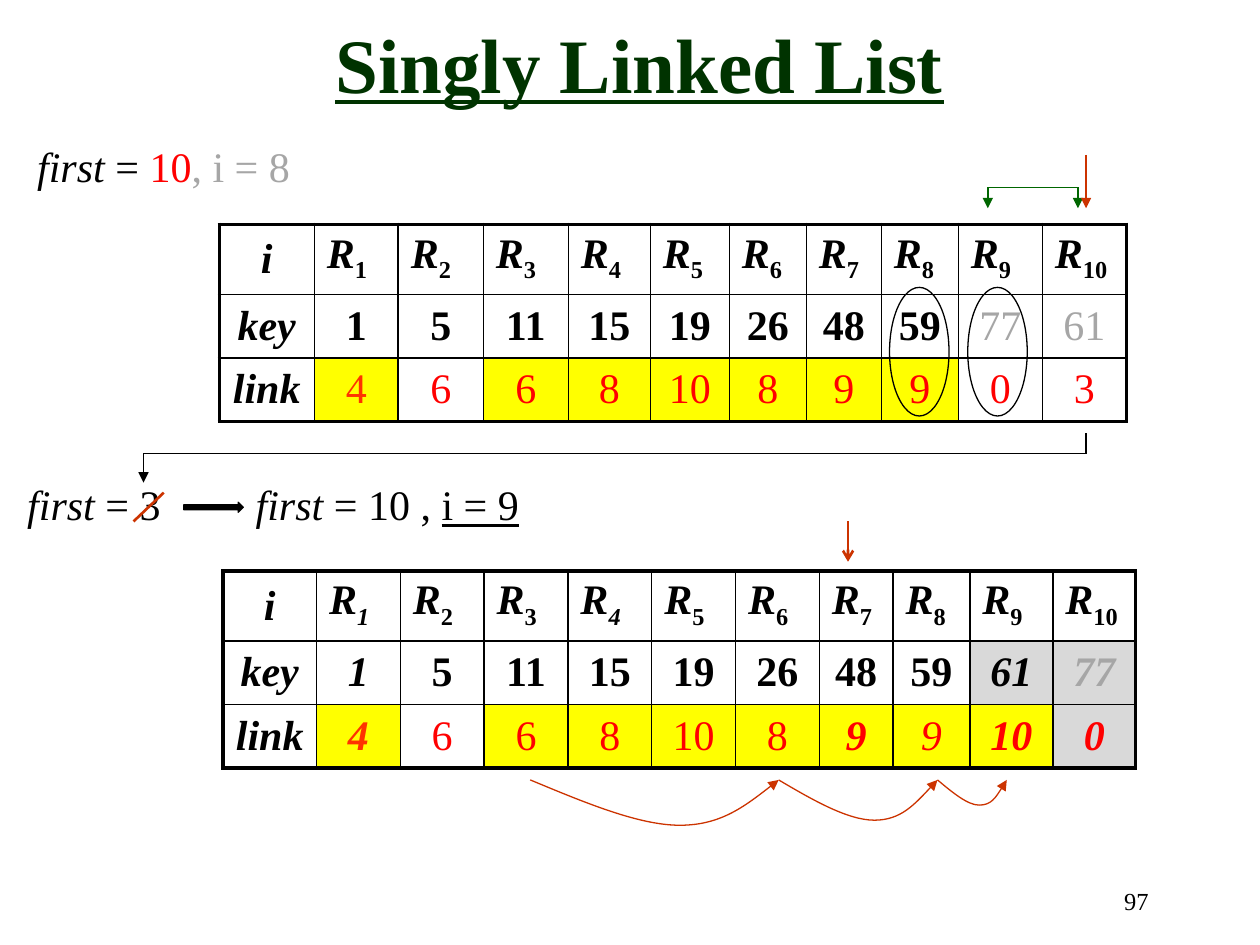
import pptx
import pptx.dml.color
import pptx.enum.shapes
import pptx.enum.text
import pptx.oxml.ns
import pptx.util
from lxml import etree

Pt = pptx.util.Pt
ALIGN = pptx.enum.text.PP_ALIGN
ANCHOR = pptx.enum.text.MSO_ANCHOR
SHAPE = pptx.enum.shapes.MSO_SHAPE
qn = pptx.oxml.ns.qn

BLACK, RED, RUST, GREEN = "000000", "FF0000", "CC3300", "006600"
YELLOW, SILVER, GREY = "FFFF00", "D9D9D9", "A6A6A6"
BODY = {"name": "Times New Roman", "size": Pt(24), "bold": False, "italic": False}
ITALIC = {"italic": True}
STRONG = {"bold": True}
STRONG_ITALIC = {"bold": True, "italic": True}

UPPER_LIST = {
    "left": 125.3, "top": 128.2,
    "widths": [54.3, 48, 48.6, 48.6, 46.9, 45.1, 44, 42.9, 44, 48, 48],
    "keys": [1, 5, 11, 15, 19, 26, 48, 59, 77, 61],
    "links": [4, 6, 6, 8, 10, 8, 9, 9, 0, 3],
    "italic_subscripts": [],
    "fills": {(2, column): YELLOW for column in (1, 3, 4, 5, 6, 7, 8)},
    "formats": {
        (1, 9): {"color": GREY, "bold": False},
        (1, 10): {"color": GREY, "bold": False},
        (2, 1): {"color": "FF3300"},
    },
}
LOWER_LIST = {
    "left": 127.4, "top": 326.2,
    "widths": [53.5] + [47.9] * 6 + [42.2, 43.9, 47.4, 47.4],
    "keys": [1, 5, 11, 15, 19, 26, 48, 59, 61, 77],
    "links": [4, 6, 6, 8, 10, 8, 9, 9, 10, 0],
    "italic_subscripts": [1, 4],
    "fills": {
        **{(2, column): YELLOW for column in (1, 3, 4, 5, 6, 7, 8, 9)},
        **{cell: SILVER for cell in ((1, 9), (1, 10), (2, 10))},
    },
    "formats": {
        (1, 1): ITALIC,
        (1, 9): ITALIC,
        (1, 10): {"color": GREY, "italic": True},
        (2, 1): {"color": "FF3300", **STRONG_ITALIC},
        (2, 7): STRONG_ITALIC,
        (2, 8): ITALIC,
        (2, 9): STRONG_ITALIC,
        (2, 10): STRONG_ITALIC,
    },
}


def rgb(code):
    """Turn a hex string into a colour."""
    return pptx.dml.color.RGBColor.from_string(code)


def write_spans(para, spans):
    """Add formatted spans of text to a paragraph."""
    for text, changes in spans:
        values = {**BODY, "color": BLACK, "baseline": None, **changes}
        span = para.add_run()
        span.text = text
        span.font.color.rgb = rgb(values.pop("color"))
        baseline = values.pop("baseline")
        for name, value in values.items():
            setattr(span.font, name, value)
        if baseline:
            span._r.get_or_add_rPr().set("baseline", baseline)


def add_text(slide, left, top, width, height, spans, align=ALIGN.LEFT,
             anchor=ANCHOR.TOP, wrap=True):
    """Add a text box with one paragraph."""
    box = slide.shapes.add_textbox(Pt(left), Pt(top), Pt(width), Pt(height))
    frame = box.text_frame
    frame.word_wrap = wrap
    frame.vertical_anchor = anchor
    frame.paragraphs[0].alignment = align
    write_spans(frame.paragraphs[0], spans)


def set_stroke(shape, color, weight, head=None):
    """Set line colour, weight and the arrowhead at the end."""
    shape.line.color.rgb = rgb(color)
    shape.line.width = Pt(weight)
    if head:
        line = shape.line._get_or_add_ln()
        etree.SubElement(line, qn("a:tailEnd")).set("type", head)


def add_line(shapes, start, end, color, weight=0.75, head=None):
    """Add a straight line between two points."""
    ends = [Pt(value) for value in (*start, *end)]
    line = shapes.add_connector(pptx.enum.shapes.MSO_CONNECTOR.STRAIGHT, *ends)
    set_stroke(line, color, weight, head)
    etree.SubElement(line._element.spPr, qn("a:effectLst"))


def add_preset(slide, kind, left, top, width, height, fill=None):
    """Add a thinly outlined preset shape."""
    shape = slide.shapes.add_shape(kind, Pt(left), Pt(top), Pt(width), Pt(height))
    shape.shadow.inherit = False
    if fill:
        shape.fill.solid()
        shape.fill.fore_color.rgb = rgb(fill)
    else:
        shape.fill.background()
    set_stroke(shape, BLACK, 0.75)


def add_hop(slide, points):
    """Add an arrow made of Bezier curves, three points a curve."""
    start, *rest = [(Pt(x), Pt(y)) for x, y in points]
    builder = slide.shapes.build_freeform(*start, scale=1.0)
    builder.add_line_segments(rest, close=False)
    hop = builder.convert_to_shape()
    hop.shadow.inherit = False
    hop.fill.background()
    set_stroke(hop, RUST, 0.75, "triangle")
    segments = list(hop._element.iter(qn("a:lnTo")))
    for first in range(0, len(segments), 3):
        curve = etree.Element(qn("a:cubicBezTo"))
        segments[first].addprevious(curve)
        for segment in segments[first:first + 3]:
            curve.append(segment[0])
            segment.getparent().remove(segment)


def set_borders(cell, weights):
    """Draw black borders, given weights for left, right, top and bottom."""
    properties = cell._tc.get_or_add_tcPr()
    for index, (side, weight) in enumerate(zip("LRTB", weights)):
        border = etree.Element(qn(f"a:ln{side}"), w=str(Pt(weight)))
        fill = etree.SubElement(border, qn("a:solidFill"))
        etree.SubElement(fill, qn("a:srgbClr")).set("val", BLACK)
        properties.insert(index, border)


def cell_spans(content, row, column):
    """Return the spans of one cell of a list table."""
    if column == 0:
        return [(("i", "key", "link")[row], STRONG_ITALIC)]
    if row == 0:
        slanted = column in content["italic_subscripts"]
        subscript = {"bold": True, "italic": slanted, "baseline": "-25000"}
        return [("R", STRONG_ITALIC), (str(column), subscript)]
    base = STRONG if row == 1 else {"color": RED}
    value = content["keys" if row == 1 else "links"][column - 1]
    return [(str(value), {**base, **content["formats"].get((row, column), {})})]


def add_list_table(slide, content):
    """Add a table of records with their keys and links."""
    widths, heights = content["widths"], [40, 36.3, 36.3]
    last_row, last_column = len(heights) - 1, len(widths) - 1
    table = slide.shapes.add_table(
        len(heights), len(widths), Pt(content["left"]), Pt(content["top"]),
        Pt(sum(widths)), Pt(sum(heights))).table
    table.first_row = table.horz_banding = False
    for column, width in zip(table.columns, widths):
        column.width = Pt(width)
    for row, height in enumerate(heights):
        table.rows[row].height = Pt(height)
        for column in range(len(widths)):
            cell = table.cell(row, column)
            heading = row == 0 and column > 0
            cell.vertical_anchor = ANCHOR.TOP if heading else ANCHOR.MIDDLE
            para = cell.text_frame.paragraphs[0]
            para.alignment = ALIGN.LEFT if heading else ALIGN.CENTER
            write_spans(para, cell_spans(content, row, column))
            cell.fill.background()
            if (row, column) in content["fills"]:
                cell.fill.solid()
                cell.fill.fore_color.rgb = rgb(content["fills"][row, column])
            outer = (column == 0, column == last_column, row == 0, row == last_row)
            set_borders(cell, [2.25 if edge else 1 for edge in outer])


def add_pointers(slide):
    """Add the swap bracket, the path back to first and the markers."""
    swap = slide.shapes.add_group_shape().shapes
    add_line(swap, (564.5, 107), (564.5, 119), GREEN, head="triangle")
    add_line(swap, (564.5, 107), (616, 107), GREEN)
    add_line(swap, (616, 107), (616, 119), GREEN, head="triangle")
    add_line(slide.shapes, (620.6, 88.5), (620.6, 119), RUST, head="triangle")
    route = slide.shapes.add_group_shape().shapes
    add_line(route, (620.6, 247.5), (620.6, 259.3), BLACK)
    add_line(route, (82, 259.3), (620.6, 259.3), BLACK)
    add_line(route, (82, 259.3), (82, 275.8), BLACK, head="triangle")
    add_line(slide.shapes, (484.6, 298), (484.6, 321), RUST, 1.5, "arrow")
    add_line(slide.shapes, (76.3, 298), (93.6, 281.5), RUST, 1.5)


def main():
    """Build the slide and save it."""
    deck = pptx.Presentation()
    deck.slide_width, deck.slide_height = Pt(720), Pt(540)
    page = deck.slides.add_slide(deck.slide_layouts[6])
    title = {"size": Pt(44), "bold": True, "underline": True, "color": "003300"}
    add_text(page, 105, 0, 521, 72, [("Singly Linked List", title)],
             ALIGN.CENTER, ANCHOR.MIDDLE)
    add_text(page, 14.2, 77, 160.5, 36.5, [
        ("first ", ITALIC), ("= ", {}), ("10", {"color": RED}),
        (", i = 8", {"color": GREY})], wrap=False)
    add_text(page, 8.5, 270, 102, 36.5, [("first", ITALIC), (" = 3", {})])
    add_text(page, 139, 270, 187, 36.5, [
        ("first", ITALIC), (" = 10 , ", {}), ("i = 9", {"underline": True})])
    add_text(page, 513.5, 502.5, 150, 36, [("97", {"size": Pt(14)})], ALIGN.RIGHT)
    for content in (UPPER_LIST, LOWER_LIST):
        add_list_table(page, content)
    for left in (508.3, 553):
        add_preset(page, SHAPE.OVAL, left, 164.2, 34, 73.5)
    add_pointers(page)
    add_preset(page, SHAPE.RIGHT_ARROW, 105, 287, 34, 5.7, BLACK)
    add_hop(page, [(303, 445.7), (334, 458.6), (365, 471.6), (388.5, 471.6),
                   (412, 471.6), (428.5, 458.6), (445, 445.7)])
    add_hop(page, [(445, 445.7), (464.5, 457.2), (484.5, 468.7), (499.7, 468.7),
                   (514.8, 468.7), (525, 457.2), (535.7, 445.7)])
    add_hop(page, [(535.7, 445.7), (544.3, 452.9), (553, 460.1), (559.5, 460.1),
                   (566.6, 460.1), (571, 452.9), (575.3, 445.7)])
    deck.save("out.pptx")


if __name__ == "__main__":
    main()
